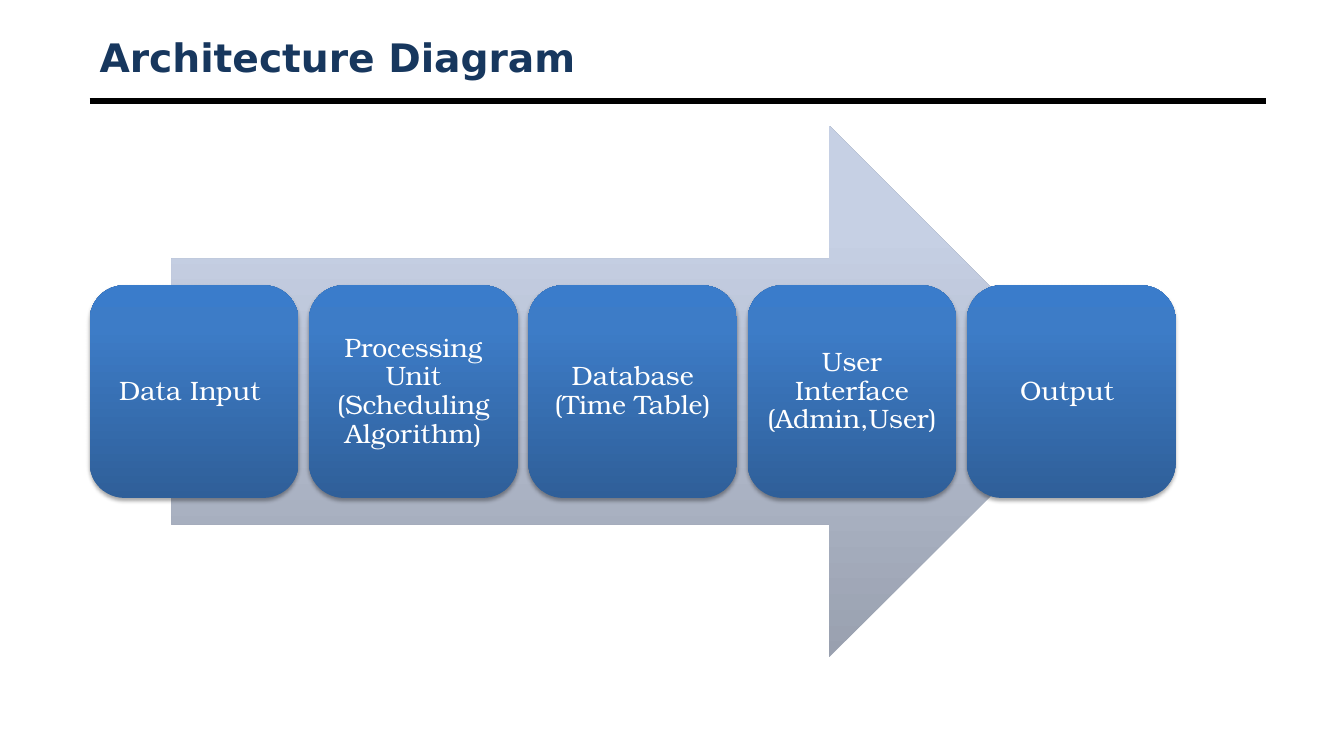
from lxml import etree
from pptx import Presentation
from pptx import util as u
from pptx.dml.color import RGBColor
from pptx.enum import shapes, text
from pptx.oxml.ns import qn

STEPS = [
    "Data Input ",
    "Processing Unit (Scheduling Algorithm)",
    "Database (Time Table)",
    "User Interface (Admin,User)",
    "Output ",
]


def color(code):
    return RGBColor.from_string(code)


def write(frame, words, font, size, ink, bold=False, align=text.PP_ALIGN.LEFT,
          inset=None, spacing=None):
    frame.word_wrap = True
    frame.vertical_anchor = text.MSO_ANCHOR.MIDDLE
    if inset is not None:
        frame.margin_left = frame.margin_right = u.Inches(inset)
        frame.margin_top = frame.margin_bottom = u.Inches(inset)
    para = frame.paragraphs[0]
    para.alignment = align
    para.line_spacing = spacing
    run = para.add_run()
    run.text = words
    run.font.name = font
    run.font.size = u.Pt(size)
    run.font.bold = bold
    run.font.color.rgb = color(ink)


class Deck:
    title_font = "DejaVu Sans"
    body_font = "TeX Gyre Bonum"
    arrow_fill = [(0, "99A0AF"), (80, "C6D0E4"), (100, "C7D1E5")]
    step_fill = [(0, "2F5F99"), (80, "3D7CC7"), (100, "3A7CCB")]

    def __init__(self, slide):
        self.slide = slide

    def title(self, words, *box):
        label = self.slide.shapes.add_textbox(*map(u.Inches, box))
        write(label.text_frame, words, self.title_font, 28, "17375E", bold=True)

    def rule(self, left, right, y):
        line = self.slide.shapes.add_connector(
            shapes.MSO_CONNECTOR.STRAIGHT,
            *map(u.Inches, (left, y, right, y)))
        line.line.color.rgb = color("000000")
        line.line.width = u.Pt(4.5)
        etree.SubElement(line._element.spPr, qn("a:effectLst"))

    def shape(self, kind, stops, *box):
        """Add a borderless shape whose gradient runs from bottom to top."""
        shape = self.slide.shapes.add_shape(kind, *map(u.Inches, box))
        shape.shadow.inherit = False
        shape.line.fill.background()
        shape.fill.gradient()
        shape.fill.gradient_angle = 90
        ramp = shape._element.spPr.find(".//" + qn("a:gsLst"))
        ramp.clear()
        for place, code in stops:
            stop = etree.SubElement(ramp, qn("a:gs"), pos=str(place * 1000))
            etree.SubElement(stop, qn("a:srgbClr"), val=code)
        return shape

    def arrow(self, *box):
        self.shape(shapes.MSO_SHAPE.RIGHT_ARROW, self.arrow_fill, *box)

    def shade(self, shape):
        """Give the shape a soft shadow straight below it."""
        effects = shape._element.spPr.find(qn("a:effectLst"))
        shadow = etree.SubElement(
            effects, qn("a:outerShdw"), blurRad=str(u.Pt(3.1)),
            dist=str(u.Pt(1.8)), dir="5400000", rotWithShape="0")
        black = etree.SubElement(shadow, qn("a:srgbClr"), val="000000")
        etree.SubElement(black, qn("a:alpha"), val="35000")

    def step(self, words, *box):
        card = self.shape(shapes.MSO_SHAPE.ROUNDED_RECTANGLE, self.step_fill, *box)
        self.shade(card)
        write(card.text_frame, words, self.body_font, 19, "FFFFFF",
              align=text.PP_ALIGN.CENTER, inset=0.08, spacing=0.9)


def main():
    prs = Presentation()
    prs.slide_width, prs.slide_height = u.Inches(13.33), u.Inches(7.5)
    deck = Deck(prs.slides.add_slide(prs.slide_layouts[6]))
    left, width, gap = 0.89, 2.07, 0.105
    deck.rule(left, 12.56, 1)
    deck.title("Architecture Diagram", left, 0.3, 11.67, 0.53)
    deck.arrow(1.7, 1.25, 9.16, 5.27)
    for i, words in enumerate(STEPS):
        deck.step(words, left + i * (width + gap), 2.83, width, 2.11)
    prs.save("out.pptx")


if __name__ == "__main__":
    main()
